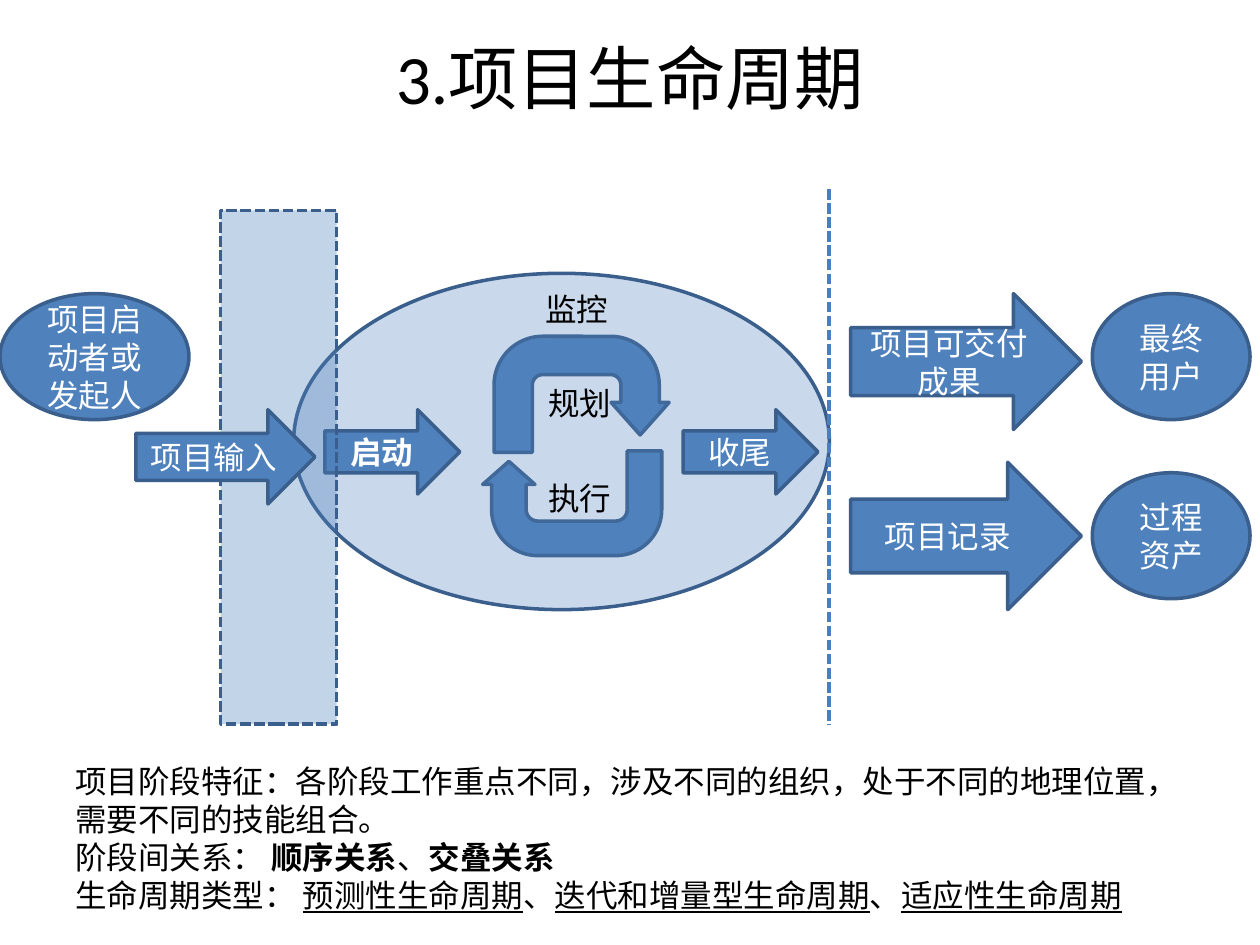
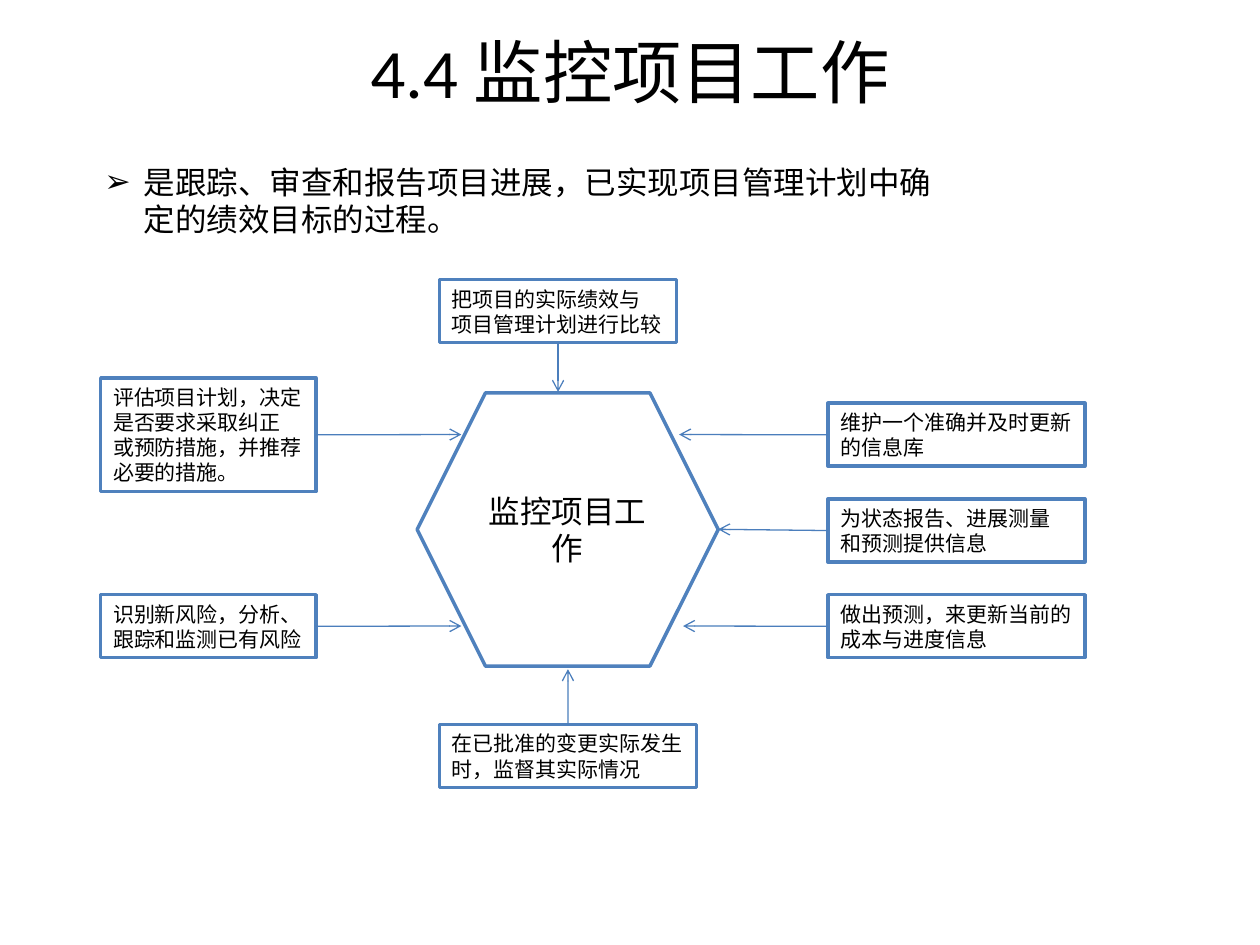
from lxml import etree
from pptx import Presentation
from pptx import util as u
from pptx.dml.color import RGBColor
from pptx.enum import dml, shapes, text
from pptx.oxml.ns import qn

COLOURS = {"blue": "4F81BD", "edge": "3A5F8C", "link": "4B7EBC",
           "white": "FFFFFF", "black": "000000"}
FONT = "Calibri"
SHAPE = shapes.MSO_SHAPE
ALIGN = text.PP_ALIGN
ANCHOR = text.MSO_ANCHOR


def colour(name):
    return RGBColor.from_string(COLOURS[name])


def place(item, left, top, width, height):
    item.left, item.top = u.Cm(left), u.Cm(top)
    item.width, item.height = u.Cm(width), u.Cm(height)


def format_text(frame, size, ink="black", align=ALIGN.LEFT, bold=None):
    frame.word_wrap = True
    for para in frame.paragraphs:
        para.alignment = align
        for span in para.runs:
            span.font.name, span.font.size = FONT, u.Pt(size)
            span.font.color.rgb = colour(ink)
            if bold is not None:
                span.font.bold = bold


def add_page(deck, layout, title, height):
    page = deck.slides.add_slide(deck.slide_layouts.get_by_name(layout))
    box = page.shapes.title
    place(box, 1.27, 0.76, 22.86, height)
    frame = box.text_frame
    frame.text = title
    frame.auto_size = text.MSO_AUTO_SIZE.NONE
    frame.vertical_anchor = ANCHOR.MIDDLE
    format_text(frame, 39.6, align=ALIGN.CENTER)
    return page


def add_block(page, kind, at, label="", fill="blue", edge="edge", opacity=None,
              size=18, ink="white", align=ALIGN.CENTER, bold=None):
    block = page.shapes.add_shape(kind, *map(u.Cm, at))
    block.shadow.inherit = False
    block.fill.solid()
    block.fill.fore_color.rgb = colour(fill)
    if opacity:
        tint = block.element.spPr.find(qn("a:solidFill"))[0]
        etree.SubElement(tint, qn("a:alpha"), val=str(opacity * 1000))
    block.line.color.rgb = colour(edge)
    block.line.width = u.Pt(2)
    if label:
        block.text_frame.text = label
        format_text(block.text_frame, size, ink, align, bold)
    return block


def add_uturn(page, at, adjustments, rotation=0):
    uturn = add_block(page, SHAPE.U_TURN_ARROW, at)
    uturn.rotation = rotation
    for index, value in enumerate(adjustments):
        uturn.adjustments[index] = value


def add_label(page, at, label, align=ALIGN.LEFT):
    box = page.shapes.add_textbox(*map(u.Cm, at))
    box.text_frame.text = label
    format_text(box.text_frame, 18, align=align)


def add_link(page, start, end, width):
    link = page.shapes.add_connector(shapes.MSO_CONNECTOR.STRAIGHT,
                                     *map(u.Cm, start + end))
    link.line.color.rgb = colour("link")
    link.line.width = u.Pt(width)
    etree.SubElement(link.element.spPr, qn("a:effectLst"))
    return link


def add_arrow_from(page, box, side, tip):
    """Draw a thin arrow from the middle of a box's side to the tip."""
    arrow = add_link(page, tip, tip, 0.75)
    arrow.begin_connect(box, side)
    outline = arrow.element.spPr.find(qn("a:ln"))
    etree.SubElement(outline, qn("a:tailEnd"), type="arrow")


def add_notes_on_phases(page):
    box = page.shapes.add_textbox(*map(u.Cm, (1.27, 15.24, 23.06, 3.33)))
    frame = box.text_frame
    frame.text = "项目阶段特征：各阶段工作重点不同，涉及不同的组织，处于不同的地理位置，需要不同的技能组合。"
    lists = [
        ("阶段间关系： ", ["顺序关系", "交叠关系"], "bold"),
        ("生命周期类型： ", ["预测性生命周期", "迭代和增量型生命周期", "适应性生命周期"], "underline"),
    ]
    for heading, terms, emphasis in lists:
        para = frame.add_paragraph()
        para.add_run().text = heading
        for index, term in enumerate(terms):
            if index:
                para.add_run().text = "、"
            span = para.add_run()
            span.text = term
            setattr(span.font, emphasis, True)
    format_text(frame, 18)


def build_life_cycle(deck):
    page = add_page(deck, "Title Only", "3.项目生命周期", 1.57)
    add_uturn(page, (9.96, 6.78, 3.53, 2.34), (0.33, 0.25, 0.28, 0.42, 0.85))
    add_uturn(page, (9.73, 9.09, 3.61, 2.11), (0.33, 0.25, 0.22, 0.44, 0.9), 180)
    add_block(page, SHAPE.OVAL, (5.92, 5.51, 10.8, 6.78), opacity=30)
    add_block(page, SHAPE.RIGHT_ARROW, (6.55, 8.26, 2.72, 1.7), "启动", bold=True)
    add_block(page, SHAPE.RIGHT_ARROW, (13.77, 8.26, 2.72, 1.7), "收尾")
    add_label(page, (10.8, 9.53, 1.9, 1.02), "执行")
    add_label(page, (10.8, 7.62, 1.9, 1.02), "规划")
    add_label(page, (9.09, 5.72, 5.08, 1.02), "监控", ALIGN.CENTER)
    boundary = add_link(page, (16.71, 3.81), (16.71, 14.61), 2)
    boundary.line.dash_style = dml.MSO_LINE.SQUARE_DOT

    add_block(page, SHAPE.RIGHT_ARROW, (17.15, 5.92, 4.65, 2.74), "项目可交付成果")
    add_block(page, SHAPE.RIGHT_ARROW, (17.15, 9.32, 4.65, 2.97), "项目记录")
    add_block(page, SHAPE.OVAL, (22.02, 5.92, 3.18, 2.54), "最终用户")
    add_block(page, SHAPE.OVAL, (22.02, 9.53, 3.18, 2.54), "过程资产")
    gate = add_block(page, SHAPE.RECTANGLE, (4.45, 4.24, 2.34, 10.36), opacity=34)
    gate.line.dash_style = dml.MSO_LINE.SQUARE_DOT
    add_block(page, SHAPE.RIGHT_ARROW, (2.74, 8.26, 3.61, 1.9), "项目输入")
    add_block(page, SHAPE.OVAL, (0, 5.92, 3.81, 2.54), "项目启动者或发起人")
    add_notes_on_phases(page)


def fill_definition(body):
    place(body, 1.85, 3.15, 17.78, 1.78)
    frame = body.text_frame
    frame.text = "是跟踪、审查和报告项目进展，已实现项目管理计划中确定的绩效目标的过程。"
    frame.auto_size = text.MSO_AUTO_SIZE.NONE
    para = frame.paragraphs[0]
    props = para._p.get_or_add_pPr()
    indent = u.Cm(0.79)
    props.set("marL", str(indent))
    props.set("indent", str(-indent))
    etree.SubElement(props, qn("a:buChar"), char="➢")
    para.space_before = u.Pt(0)
    format_text(frame, 18)


def build_monitoring(deck):
    page = add_page(deck, "Title and Content", "4.4 监控项目工作", 1.35)
    fill_definition(page.placeholders[1])
    add_block(page, SHAPE.HEXAGON, (8.41, 7.92, 6.07, 5.51), "监控项目工作",
              "white", "blue", ink="black")

    top, left, bottom, right = range(4)
    right_tops = [8.13 + 1.93 * row for row in range(3)]
    tasks = [
        ((8.86, 5.64, 4.78, 1.27), "把项目的实际绩效与\n项目管理计划进行比较", bottom, (11.25, 7.9)),
        ((2.03, 7.62, 4.34, 2.29), "评估项目计划，决定\n是否要求采取纠正\n或预防措施，并推荐\n必要的措施。",
         right, (9.3, 8.76)),
        ((2.03, 11.99, 4.34, 1.27), "识别新风险，分析、\n跟踪和监测已有风险", right, (9.3, 12.62)),
        ((8.86, 14.61, 5.18, 1.27), "在已批准的变更实际发生\n时，监督其实际情况", top, (11.45, 13.49)),
        ((16.69, right_tops[0], 5.18, 1.27), "维护一个准确并及时更新\n的信息库", left, (13.69, 8.76)),
        ((16.69, right_tops[1], 5.18, 1.27), "为状态报告、进展测量\n和预测提供信息", left, (14.48, 10.67)),
        ((16.69, right_tops[2], 5.18, 1.27), "做出预测，来更新当前的\n成本与进度信息", left, (13.77, 12.62)),
    ]
    for at, label, side, tip in tasks:
        box = add_block(page, SHAPE.RECTANGLE, at, label, "white", "blue",
                        size=12, ink="black", align=ALIGN.LEFT)
        add_arrow_from(page, box, side, tip)


def main():
    deck = Presentation()
    deck.slide_width, deck.slide_height = u.Cm(25.4), u.Cm(19.05)
    build_life_cycle(deck)
    build_monitoring(deck)
    deck.save("out.pptx")


if __name__ == "__main__":
    main()
